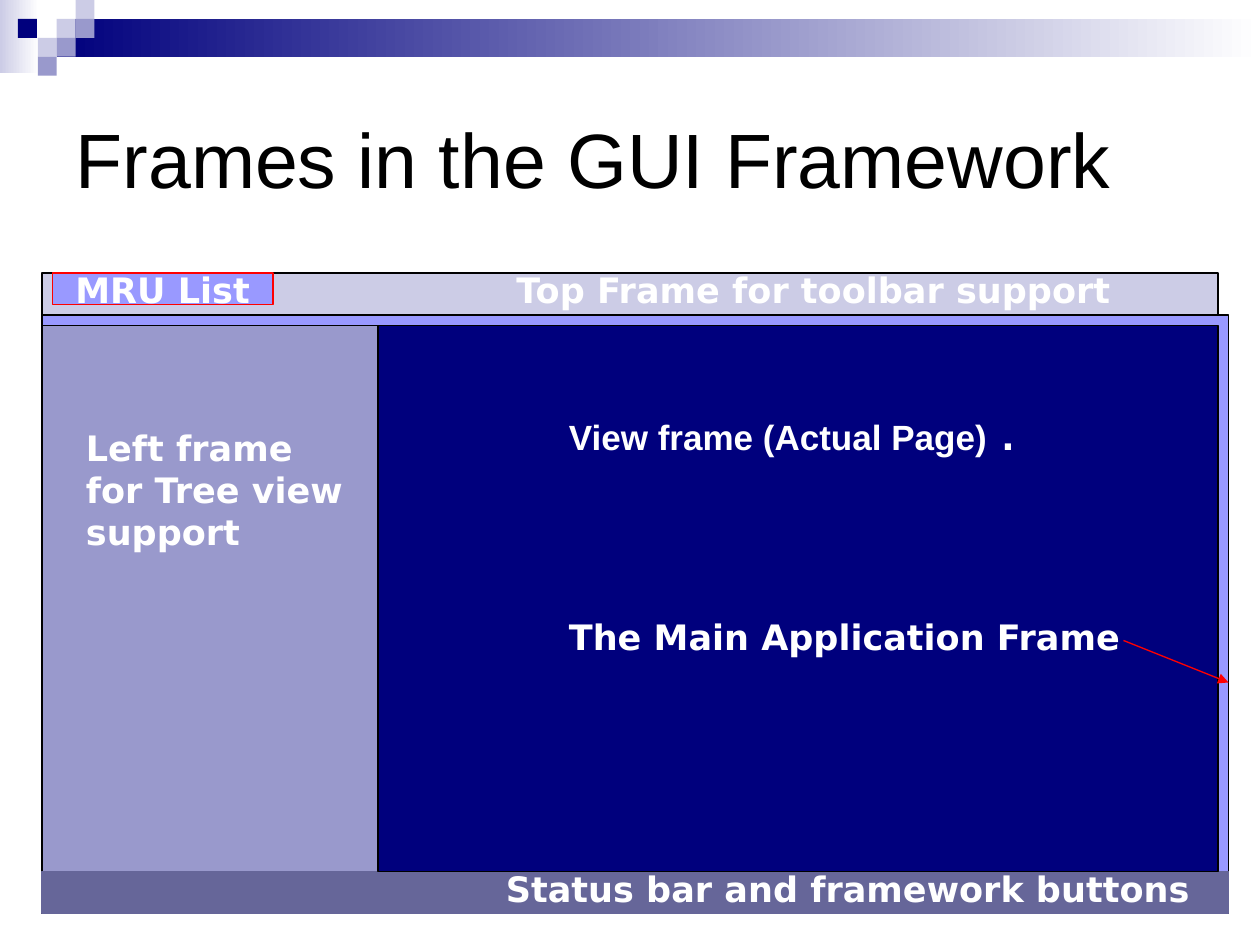
import pptx
import pptx.util
import pptx.dml.color
import pptx.enum.shapes
import pptx.enum.text
import pptx.oxml.ns
from lxml import etree

RGBColor = pptx.dml.color.RGBColor
WHITE = RGBColor(0xFF, 0xFF, 0xFF)
BLACK = RGBColor(0x00, 0x00, 0x00)
RED = RGBColor(0xFF, 0x00, 0x00)
NAVY = RGBColor(0x00, 0x00, 0x7D)
PALE = RGBColor(0xCC, 0xCC, 0xE6)
LAVENDER = RGBColor(0x99, 0x99, 0xCC)
PERIWINKLE = RGBColor(0x99, 0x99, 0xFF)
SLATE = RGBColor(0x66, 0x66, 0x99)

CELL = 1 / 12  # diagram grid, inches
TILE = 0.15  # side of a corner tile, inches
SANS = "DejaVu Sans"


def inches(*lengths):
    return [pptx.util.Inches(length) for length in lengths]


def add_rect(page, box, fill, line=None):
    """Rectangle at box (inches); a list of two colours gives a gradient."""
    rect = page.shapes.add_shape(
        pptx.enum.shapes.MSO_SHAPE.RECTANGLE, *inches(*box))
    rect.shadow.inherit = False
    if isinstance(fill, list):
        rect.fill.gradient()
        rect.fill.gradient_angle = 0
        for stop, position, color in zip(rect.fill.gradient_stops, (0, 1), fill):
            stop.position = position
            stop.color.rgb = color
    else:
        rect.fill.solid()
        rect.fill.fore_color.rgb = fill
    if line is None:
        rect.line.fill.background()
    else:
        rect.line.color.rgb = line
        rect.line.width = pptx.util.Pt(0.75)


def add_span(para, text, size, font, color, bold=False):
    span = para.add_run()
    span.text = text
    span.font.size = pptx.util.Pt(size)
    span.font.name = font
    span.font.bold = bold
    span.font.color.rgb = color


def add_label(page, box, *spans):
    """White label; each span is (text, size, font, bold)."""
    label = page.shapes.add_textbox(*inches(*box))
    label.text_frame.word_wrap = True
    para = label.text_frame.paragraphs[0]
    for text, size, font, bold in spans:
        add_span(para, text, size, font, WHITE, bold)


def add_arrow(page, start, end):
    arrow = page.shapes.add_connector(
        pptx.enum.shapes.MSO_CONNECTOR.STRAIGHT, *inches(*start, *end))
    arrow.line.color.rgb = RED
    arrow.line.width = pptx.util.Pt(0.75)
    qn = pptx.oxml.ns.qn
    properties = arrow._element.spPr
    etree.SubElement(properties.find(qn("a:ln")), qn("a:tailEnd"), type="triangle")
    etree.SubElement(properties, qn("a:effectLst"))


def build_banner(page, left, top, width):
    """Gradient bar with a staircase of corner tiles."""
    add_rect(page, (left, top, 0.31, 0.58), [PALE, WHITE])
    add_rect(page, (left + 3 * TILE, top + TILE, width - 3 * TILE, 2 * TILE),
             [NAVY, WHITE])
    tiles = [(3, 1, PALE), (4, 0, PALE), (4, 1, LAVENDER), (2, 2, PALE),
             (0.95, 1, NAVY), (3, 2, LAVENDER), (2, 3, LAVENDER)]
    for column, row, color in tiles:
        add_rect(page, (left + column * TILE, top + row * TILE, TILE, TILE), color)


def build_title(page, box, text):
    title = page.shapes.title
    title.left, title.top, title.width, title.height = inches(*box)
    title.text_frame.vertical_anchor = pptx.enum.text.MSO_ANCHOR.MIDDLE
    para = title.text_frame.paragraphs[0]
    para.alignment = pptx.enum.text.PP_ALIGN.LEFT
    add_span(para, text, 44, "Arial", BLACK)


def build_frames(page, left, top):
    """Window diagram, laid out in grid cells from its top left corner."""
    def place(column, row, columns=0, rows=0):
        return (left + column * CELL, top + row * CELL,
                columns * CELL, rows * CELL)

    # Panels: main frame, top frame, left frame, status bar, view frame
    panels = [
        ((0, 4, 113, 57), PERIWINKLE, BLACK),
        ((0, 0, 112, 4), PALE, BLACK),
        ((0, 5, 32, 52), LAVENDER, BLACK),
        ((0, 57, 113, 4), SLATE, SLATE),
        ((32, 5, 80, 52), NAVY, BLACK),
        ((1, 0, 21, 3), PERIWINKLE, RED),  # MRU list
    ]
    for cells, fill, line in panels:
        add_rect(page, place(*cells), fill, line)

    # Labels
    labels = [
        ((43, 56, 68, 5.25), "Status bar and framework buttons"),
        ((3, 14, 27, 13.25), "Left frame for Tree view support"),
        ((49, 32, 56, 5.25), "The Main Application Frame"),
        ((2, -1, 20, 5.25), "MRU List"),
        ((44, -1, 62, 5.25), "Top Frame for toolbar support"),
    ]
    for cells, text in labels:
        add_label(page, place(*cells), (text, 20, SANS, True))
    add_label(page, place(49, 11, 57, 7.75),
              ("View frame (Actual Page)", 20, "Arial", True),
              (" ", 32, "Times New Roman", False),
              (".", 20, SANS, True))

    # Pointer to the edge of the main frame
    add_arrow(page, place(103, 35)[:2], place(113, 39)[:2])


def main():
    deck = pptx.Presentation()
    deck.slide_width, deck.slide_height = inches(10, 7.5)
    page = deck.slides.add_slide(deck.slide_layouts[5])
    page.background.fill.solid()
    page.background.fill.fore_color.rgb = WHITE
    build_banner(page, 0, 0, 10)
    build_title(page, (0.5, 0.5, 9, 1.5), "Frames in the GUI Framework")
    build_frames(page, 4 * CELL, 26 * CELL)
    deck.save("out.pptx")


if __name__ == "__main__":
    main()
